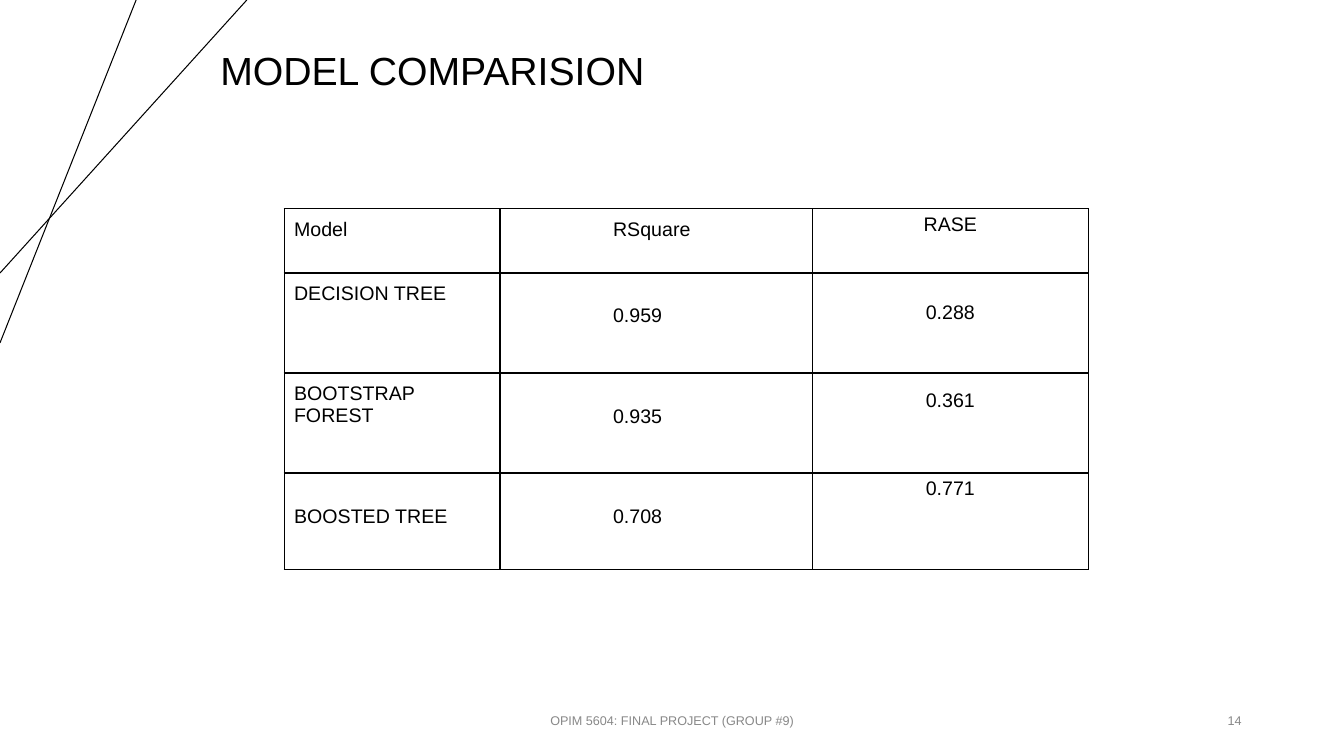
import pptx
import pptx.dml.color
import pptx.enum.shapes
import pptx.enum.text
import pptx.oxml.ns
import pptx.util
from lxml import etree

Cm, Pt = pptx.util.Cm, pptx.util.Pt
ALIGN = pptx.enum.text.PP_ALIGN
BLACK, GREY = "000000", "888888"

TITLE = "MODEL COMPARISION"
FOOTER = "OPIM 5604: FINAL PROJECT (GROUP #9)"
PAGE = "14"
RSQUARE_ROWS = [
    ("Model", "RSquare"),
    ("DECISION TREE", "0.959"),
    ("BOOTSTRAP FOREST", "0.935"),
    ("BOOSTED TREE", "0.708"),
]
RASE_ROWS = [("RASE\n0.288\n0.361\n0.771",)]

# All lengths in cm, except font sizes and paragraph spacing
RSQUARE_WIDTHS, RASE_WIDTHS = [5.44, 14.83], [6.96]
ROW_HEIGHTS = [1.62, 2.52, 2.52, 2.44]
TABLE_LEFT, TABLE_TOP = 7.16, 5.26
RASE_LEFT = TABLE_LEFT + sum(RSQUARE_WIDTHS) - sum(RASE_WIDTHS)
RSQUARE_INDENTS = [0.25, 2.85]
RSQUARE_TOPS = [(0.25, 0.25), (0.25, 0.81), (0.25, 0.81), (0.81, 0.81)]
RASE_SPACING = 47
# Where each corner line meets the top edge and the left edge
CORNER_LINES = [(3.43, 8.64), (6.22, 6.88)]
# Text, left, width, alignment
FOOTER_BOXES = [(PAGE, 23.92, 7.62, ALIGN.RIGHT), (FOOTER, 11.22, 11.43, ALIGN.CENTER)]


def color(hex_string):
    return pptx.dml.color.RGBColor.from_string(hex_string)


def write(text_frame, text, size, hex_string, alignment):
    text_frame.text = text
    text_frame.word_wrap = True
    for paragraph in text_frame.paragraphs:
        paragraph.alignment = alignment
        font = paragraph.runs[0].font
        font.name, font.size, font.bold = "Arial", Pt(size), False
        font.color.rgb = color(hex_string)


def add_borders(cell):
    properties = cell._tc.get_or_add_tcPr()
    for side in ("a:lnL", "a:lnR", "a:lnT", "a:lnB"):
        line = etree.SubElement(properties, pptx.oxml.ns.qn(side), w=str(Pt(1)))
        fill = etree.SubElement(line, pptx.oxml.ns.qn("a:solidFill"))
        etree.SubElement(fill, pptx.oxml.ns.qn("a:srgbClr"), val=BLACK)


def add_corner_lines(slide):
    for across, down in CORNER_LINES:
        line = slide.shapes.add_connector(
            pptx.enum.shapes.MSO_CONNECTOR.STRAIGHT, Cm(across), 0, 0, Cm(down))
        line.line.color.rgb = color(BLACK)
        line.line.width = Pt(0.75)
        etree.SubElement(line._element.spPr, pptx.oxml.ns.qn("a:effectLst"))


def add_title(slide):
    title = slide.shapes.title
    title.left, title.top, title.width, title.height = Cm(0.15), Cm(0), Cm(21.49), Cm(3.68)
    write(title.text_frame, TITLE, 28, BLACK, ALIGN.CENTER)
    title.text_frame.vertical_anchor = pptx.enum.text.MSO_ANCHOR.MIDDLE
    title.text_frame.paragraphs[0].line_spacing = 0.9


def add_grid(slide, rows, left, widths, heights, alignment):
    """Add a bordered table without fill and return it."""
    table = slide.shapes.add_table(
        len(rows), len(widths), Cm(left), Cm(TABLE_TOP),
        Cm(sum(widths)), Cm(sum(heights))).table
    table.first_row = table.horz_banding = False
    for column, width in zip(table.columns, widths):
        column.width = Cm(width)
    for row, height, texts in zip(table.rows, heights, rows):
        row.height = Cm(height)
        for cell, text in zip(row.cells, texts):
            write(cell.text_frame, text, 14, BLACK, alignment)
            add_borders(cell)
            cell.fill.background()
    return table


def add_rsquare_table(slide):
    table = add_grid(slide, RSQUARE_ROWS, TABLE_LEFT, RSQUARE_WIDTHS, ROW_HEIGHTS, ALIGN.LEFT)
    for row, tops in zip(table.rows, RSQUARE_TOPS):
        for cell, top, indent in zip(row.cells, tops, RSQUARE_INDENTS):
            cell.margin_top, cell.margin_left = Cm(top), Cm(indent)
            cell.margin_right = cell.margin_bottom = Cm(0.25)


def add_rase_table(slide):
    table = add_grid(slide, RASE_ROWS, RASE_LEFT, RASE_WIDTHS, [sum(ROW_HEIGHTS)], ALIGN.CENTER)
    for paragraph in table.cell(0, 0).text_frame.paragraphs[1:]:
        paragraph.space_before = Pt(RASE_SPACING)


def add_footer(slide):
    for text, left, width, alignment in FOOTER_BOXES:
        box = slide.shapes.add_textbox(Cm(left), Cm(17.65), Cm(width), Cm(1.02))
        write(box.text_frame, text, 9, GREY, alignment)
        box.text_frame.vertical_anchor = pptx.enum.text.MSO_ANCHOR.MIDDLE


def main():
    presentation = pptx.Presentation()
    presentation.slide_width, presentation.slide_height = Cm(33.87), Cm(19.05)
    slide = presentation.slides.add_slide(presentation.slide_layouts[5])
    add_corner_lines(slide)
    add_title(slide)
    add_rsquare_table(slide)
    add_rase_table(slide)
    add_footer(slide)
    presentation.save("out.pptx")


if __name__ == "__main__":
    main()
